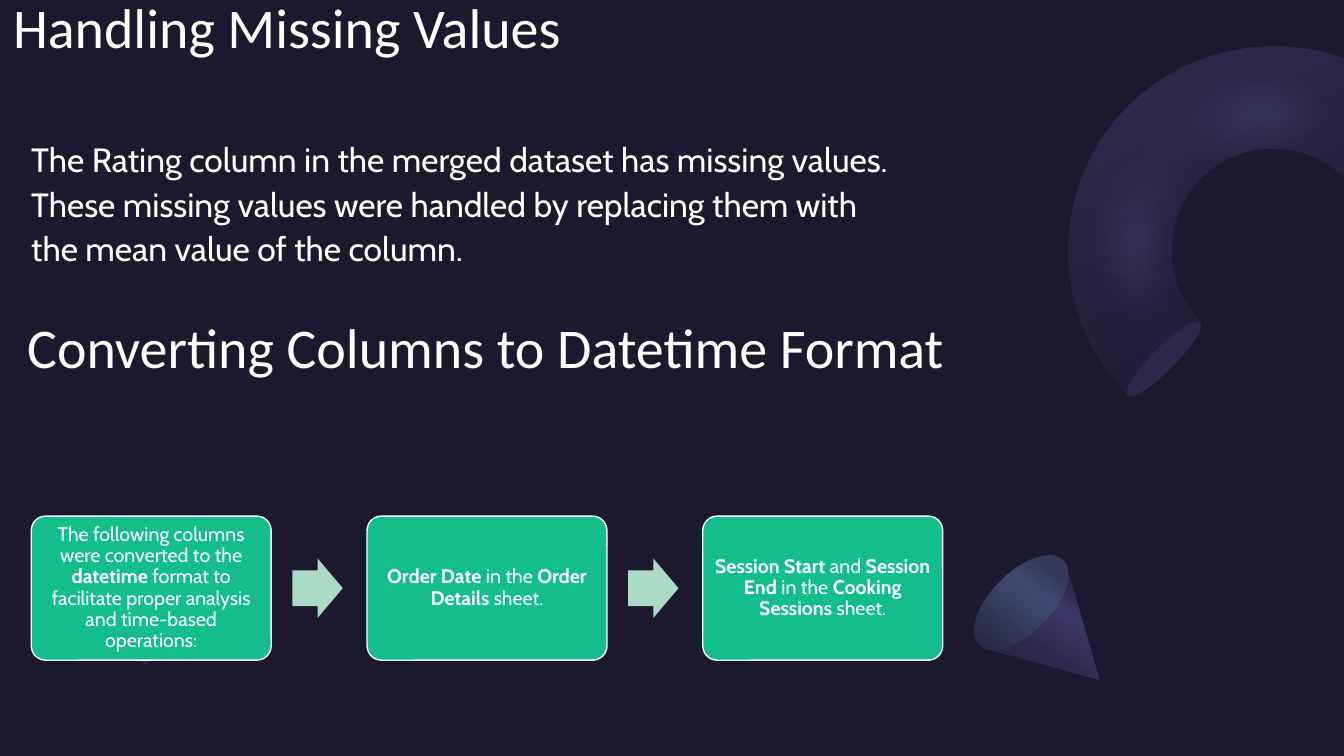
from math import cos, radians, sin

from lxml.etree import SubElement
from pptx import Presentation
from pptx.dml.color import RGBColor
from pptx.enum.shapes import MSO_SHAPE
from pptx.enum.text import MSO_ANCHOR, PP_ALIGN
from pptx.oxml.ns import qn
from pptx.util import Inches, Pt

NIGHT = RGBColor(0x1B, 0x19, 0x2E)
PLUM = RGBColor(0x2C, 0x28, 0x4A)
VIOLET = RGBColor(0x3C, 0x38, 0x67)
INDIGO = RGBColor(0x45, 0x40, 0x75)
LAVENDER = RGBColor(0x77, 0x71, 0xB2)
MINT = RGBColor(0x5B, 0xEF, 0xC1)
GREEN = RGBColor(0x13, 0xBE, 0x89)
PALE_GREEN = RGBColor(0xAB, 0xDB, 0xC4)
WHITE = RGBColor(0xFF, 0xFF, 0xFF)

RING = [(11.19, 3.92), (10.4, 3.13, 10.4, 1.84, 11.19, 1.05),
        (11.74, 0.51, 12.52, 0.34, 13.21, 0.54), (13.33, 0.58), (13.33, 1.75),
        (13.19, 1.64), (12.79, 1.38, 12.26, 1.42, 11.91, 1.77),
        (11.52, 2.16, 11.52, 2.8, 11.91, 3.2)]
RING_GLOW = [(11.44, 4.18), (10.51, 3.26, 10.4, 1.87, 11.19, 1.07),
             (11.69, 0.58, 12.42, 0.44, 13.12, 0.62), (13.32, 0.69), (13.32, 1.82),
             (13.3, 1.82), (12.87, 1.57, 12.35, 1.59, 12.03, 1.91),
             (11.64, 2.31, 11.69, 3, 12.15, 3.47)]
CONE = [(10.9, 6.74), (9.77, 6.43), (9.76, 6.43), (9.74, 6.42, 9.73, 6.41, 9.71, 6.39),
        (9.6, 6.28, 9.69, 6, 9.92, 5.77), (10.15, 5.54, 10.43, 5.44, 10.55, 5.56),
        (10.56, 5.57, 10.57, 5.59, 10.58, 5.61), (10.58, 5.62), (10.9, 6.74)]
SMALL_RING = [(0.76, 6.59), (0.56, 6.39, 0.56, 6.07, 0.76, 5.87), (0.94, 6.05),
              (0.84, 6.15, 0.84, 6.31, 0.94, 6.41), (1.03, 6.51, 1.2, 6.51, 1.29, 6.41),
              (1.47, 6.59), (1.28, 6.79, 0.95, 6.79, 0.76, 6.59)]
SMALL_GLOW = [(0.76, 6.59), (0.56, 6.39, 0.58, 6.05, 0.81, 5.82), (0.99, 6),
              (0.87, 6.11, 0.86, 6.29, 0.96, 6.38), (1.06, 6.48, 1.23, 6.47, 1.35, 6.36),
              (1.52, 6.54), (1.3, 6.76, 0.95, 6.79, 0.76, 6.59)]

STEPS = [
    "The following columns were converted to the **datetime** format to facilitate "
    "proper analysis and time-based operations:",
    "**Order Date** in the **Order Details** sheet.",
    "**Session Start** and **Session End** in the **Cooking Sessions** sheet.",
]
STEP_LEFT, STEP_PITCH, ARROW_OFFSET = 0.31, 3.33, 2.59


def write(frame, text, font="Cabin", size=14, color=WHITE, spacing=0.9, before=0,
          after=0, align=PP_ALIGN.LEFT, anchor=MSO_ANCHOR.TOP, inset=0):
    frame.word_wrap = True
    frame.vertical_anchor = anchor
    frame.margin_left = frame.margin_right = Inches(inset)
    frame.margin_top = frame.margin_bottom = Inches(inset)
    para = frame.paragraphs[0]
    para.alignment = align
    para.line_spacing = spacing
    para.space_before, para.space_after = Pt(before), Pt(after)
    for index, words in enumerate(text.split("**")):
        if words:
            span = para.add_run()
            span.text = words
            span.font.name = font
            span.font.size = Pt(size)
            span.font.color.rgb = color
            span.font.bold = index % 2 == 1


def unrotate(x, y, left, top, width, height, rotation):
    angle = radians(-rotation)
    across, down = x - left - width / 2, y - top - height / 2
    return (Inches(across * cos(angle) - down * sin(angle) + width / 2),
            Inches(across * sin(angle) + down * cos(angle) + height / 2))


class SlideBuilder:
    def __init__(self, page, background):
        self.page = page
        page.background.fill.solid()
        page.background.fill.fore_color.rgb = background

    def finish(self, shape, color, alpha, rotation):
        shape.rotation = rotation
        shape.shadow.inherit = False
        shape.line.fill.background()
        shape.fill.solid()
        shape.fill.fore_color.rgb = color
        if alpha < 100:
            tone = shape.element.spPr.find(qn("a:solidFill"))[0]
            SubElement(tone, qn("a:alpha"), val=str(alpha * 1000))
        return shape

    def text(self, text, left, top, width, height, **style):
        box = self.page.shapes.add_textbox(Inches(left), Inches(top),
                                           Inches(width), Inches(height))
        write(box.text_frame, text, **style)

    def shape(self, kind, left, top, width, height, color, alpha=100, rotation=0):
        shape = self.page.shapes.add_shape(kind, Inches(left), Inches(top),
                                           Inches(width), Inches(height))
        return self.finish(shape, color, alpha, rotation)

    def outline(self, outline, left, top, width, height, color, alpha=100, rotation=0):
        builder = self.page.shapes.build_freeform()
        builder.add_line_segments([(Inches(width), Inches(height))])
        shape = builder.convert_to_shape()
        shape.left, shape.top = Inches(left), Inches(top)
        shape.width, shape.height = Inches(width), Inches(height)
        drawing = next(shape.element.spPr.iter(qn("a:path")))
        for command in list(drawing):
            drawing.remove(command)
        for index, segment in enumerate(outline):
            name = "cubicBezTo" if len(segment) == 6 else "lnTo" if index else "moveTo"
            command = SubElement(drawing, qn(f"a:{name}"))
            for x, y in zip(segment[::2], segment[1::2]):
                across, down = unrotate(x, y, left, top, width, height, rotation)
                SubElement(command, qn("a:pt"), x=str(across), y=str(down))
        SubElement(drawing, qn("a:close"))
        return self.finish(shape, color, alpha, rotation)

    def gradient(self, shape, stops, angle):
        properties = shape.element.spPr
        solid = properties.find(qn("a:solidFill"))
        fill = properties.makeelement(qn("a:gradFill"), {"rotWithShape": "1"})
        stop_list = SubElement(fill, qn("a:gsLst"))
        for position, color, alpha in stops:
            stop = SubElement(stop_list, qn("a:gs"), pos=str(position * 1000))
            tone = SubElement(stop, qn("a:srgbClr"), val=str(color))
            if alpha < 100:
                SubElement(tone, qn("a:alpha"), val=str(alpha * 1000))
        SubElement(fill, qn("a:lin"), ang=str((360 - angle) * 60000), scaled="0")
        properties.replace(solid, fill)

    def soften(self, shape, radius):
        effects = shape.element.spPr.find(qn("a:effectLst"))
        SubElement(effects, qn("a:softEdge"), rad=str(Inches(radius)))

    def step(self, text, left):
        card = self.shape(MSO_SHAPE.ROUNDED_RECTANGLE, left, 5.12, 2.38, 1.43, GREEN)
        card.adjustments[0] = 0.1
        card.line.color.rgb = WHITE
        card.line.width = Pt(1)
        write(card.text_frame, text, align=PP_ALIGN.CENTER,
              anchor=MSO_ANCHOR.MIDDLE, inset=0.06)

    def arrow(self, left):
        arrow = self.shape(MSO_SHAPE.RIGHT_ARROW, left, 5.54, 0.5, 0.59, PALE_GREEN)
        arrow.adjustments[0] = 0.6
        arrow.adjustments[1] = 0.5


def draw_decoration(builder):
    ring = builder.outline(RING, 9.91, 0.82, 3.87, 2.03, PLUM, rotation=315)
    builder.gradient(ring, [(31, PLUM, 100), (97, NIGHT, 100)], 250)
    glow = builder.outline(RING_GLOW, 10.04, 0.82, 3.8, 2.37, LAVENDER, 40, 315)
    builder.soften(glow, 0.42)
    builder.shape(MSO_SHAPE.OVAL, 11.43, 3.05, 0.23, 1.02, PLUM, rotation=225)

    cone = builder.outline(CONE, 9.82, 5.57, 1.18, 1.38, PLUM, rotation=135)
    builder.gradient(cone, [(30, PLUM, 100), (40, VIOLET, 100),
                            (60, PLUM, 100), (100, NIGHT, 100)], 10)
    base = builder.shape(MSO_SHAPE.OVAL, 9.83, 5.39, 0.59, 1.18, INDIGO, rotation=225)
    builder.gradient(base, [(0, INDIGO, 33), (100, MINT, 0)], 90)

    builder.outline(SMALL_RING, 0.43, 6.16, 1.01, 0.51, NIGHT, rotation=45)
    builder.shape(MSO_SHAPE.OVAL, 1.35, 6.37, 0.06, 0.26, PLUM, rotation=135)
    small_glow = builder.outline(SMALL_GLOW, 0.45, 6.09, 1.01, 0.58, LAVENDER, 20, 45)
    builder.soften(small_glow, 0.15)


def main():
    deck = Presentation()
    deck.slide_width, deck.slide_height = Inches(13.33), Inches(7.5)
    builder = SlideBuilder(deck.slides.add_slide(deck.slide_layouts[6]), NIGHT)
    draw_decoration(builder)
    builder.text("Handling Missing Values", 0.13, 0, 8.71, 1.15, font="Calibri", size=40)
    builder.text("The Rating column in the merged dataset has missing values. These missing "
                 "values were handled by replacing them with the mean value of the column.",
                 0.31, 1.34, 8.67, 1.59, size=24, spacing=1.1, before=10, after=8)
    builder.text("Converting Columns to Datetime Format", 0.27, 3.18, 10.25, 1.15,
                 font="Calibri", size=40)
    for index, text in enumerate(STEPS):
        left = STEP_LEFT + index * STEP_PITCH
        builder.step(text, left)
        if index < len(STEPS) - 1:
            builder.arrow(left + ARROW_OFFSET)
    deck.save("out.pptx")


if __name__ == "__main__":
    main()
